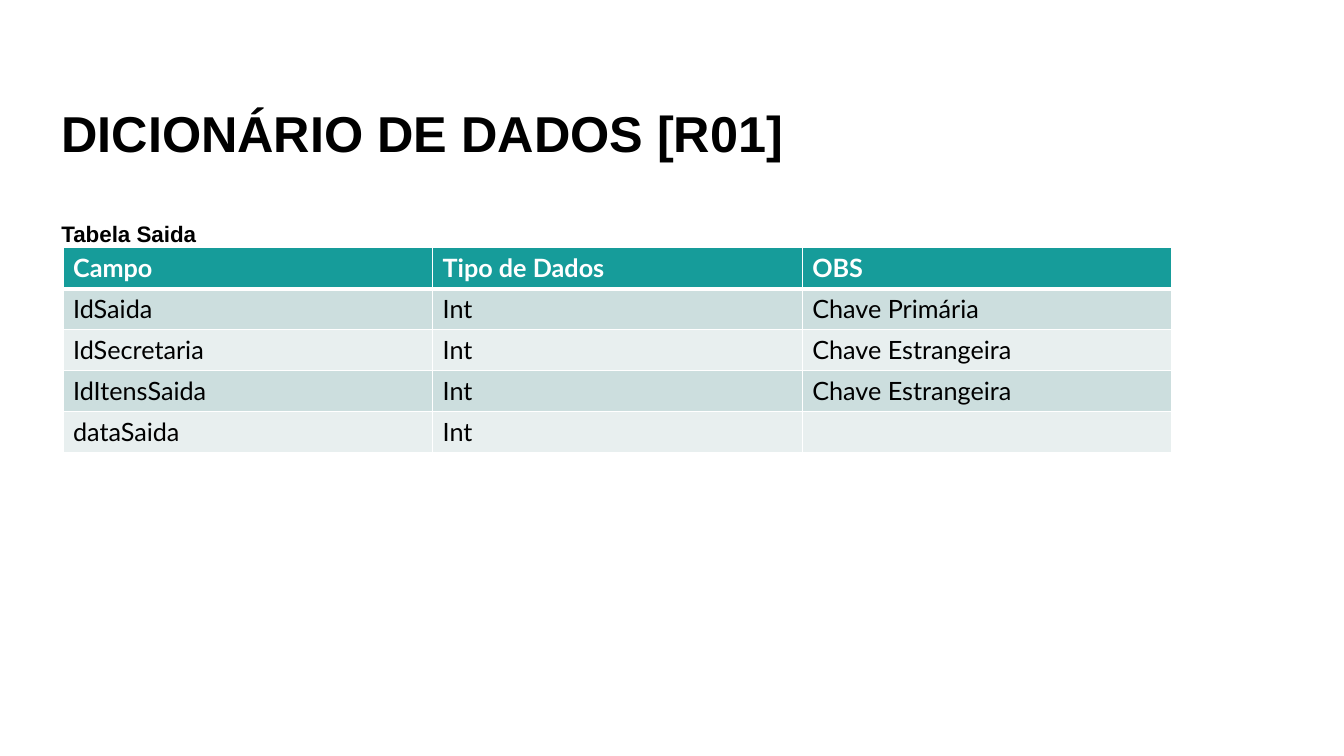
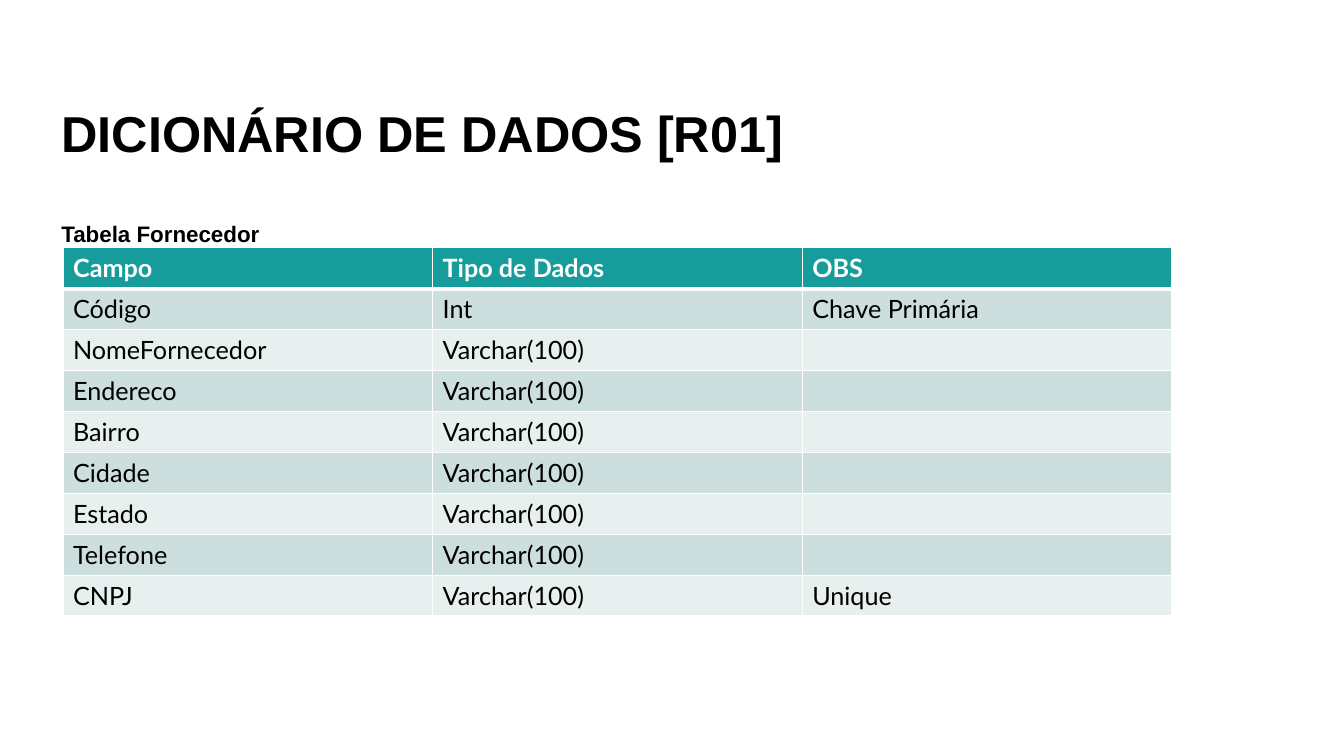
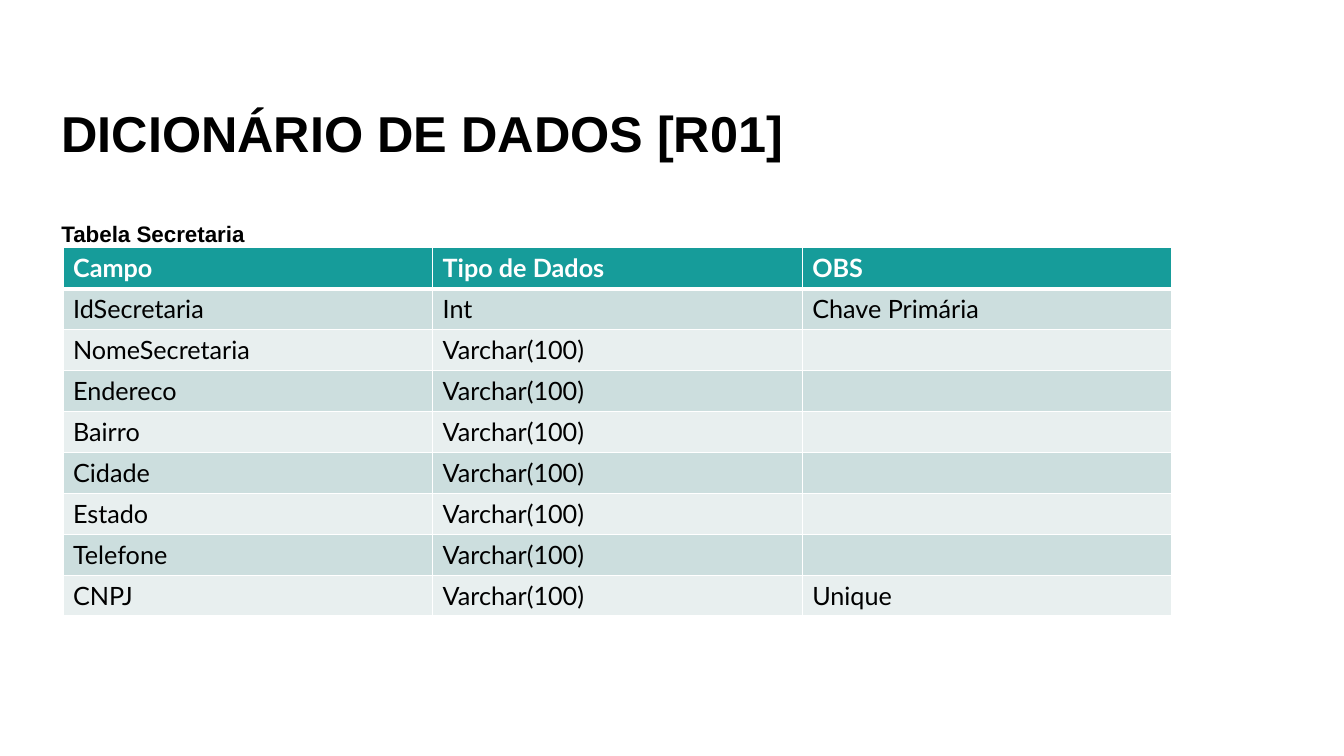
import pptx
import pptx.util
import pptx.dml.color
import pptx.enum.text
import lxml.etree

PX = 9525
TEAL, MIST, PALE = "169C9A", "CCDEDE", "E8EFEF"
BLACK, WHITE = "000000", "FFFFFF"
ROW_HEIGHT, COLUMN_WIDTH = 39, 352
HEADINGS = ("Campo", "Tipo de Dados", "OBS")


def color(hex_code):
    return pptx.dml.color.RGBColor.from_string(hex_code)


def add_run(paragraph, text, font, size, hex_code, bold):
    run = paragraph.add_run()
    run.text = text
    run.font.name = font
    run.font.size = pptx.util.Pt(size)
    run.font.color.rgb = color(hex_code)
    run.font.bold = bold


contact_fields = [
    (field, "Varchar(100)", "")
    for field in ("Endereco", "Bairro", "Cidade", "Estado", "Telefone")
] + [("CNPJ", "Varchar(100)", "Unique")]

entities = {
    "Saida": [
        ("IdSaida", "Int", "Chave Primária"),
        ("IdSecretaria", "Int", "Chave Estrangeira"),
        ("IdItensSaida", "Int", "Chave Estrangeira"),
        ("dataSaida", "Int", ""),
    ],
    "Fornecedor": [
        ("Código", "Int", "Chave Primária"),
        ("NomeFornecedor", "Varchar(100)", ""),
    ] + contact_fields,
    "Secretaria": [
        ("IdSecretaria", "Int", "Chave Primária"),
        ("NomeSecretaria", "Varchar(100)", ""),
    ] + contact_fields,
}

deck = pptx.Presentation()
deck.slide_width, deck.slide_height = 1280 * PX, 720 * PX

for entity, fields in entities.items():
    slide = deck.slides.add_slide(deck.slide_layouts[6])

    headlines = (
        ("DICIONÁRIO DE DADOS [R01]", 0, 36),
        (f"Tabela {entity}", 80, 16),
    )
    for headline, top, size in headlines:
        frame = slide.shapes.add_textbox(49 * PX, top * PX, 1104 * PX, 160 * PX).text_frame
        frame.word_wrap = True
        frame.vertical_anchor = pptx.enum.text.MSO_ANCHOR.BOTTOM
        paragraph = frame.paragraphs[0]
        paragraph.line_spacing = 0.9
        paragraph.space_before = pptx.util.Pt(25)
        add_run(paragraph, headline, "Arial", size, BLACK, True)

    rows = [HEADINGS] + fields
    dictionary = slide.shapes.add_table(
        len(rows), len(HEADINGS), 60 * PX, 236 * PX,
        len(HEADINGS) * COLUMN_WIDTH * PX, len(rows) * ROW_HEIGHT * PX,
    ).table

    for row_index, row in enumerate(rows):
        is_heading = row_index == 0
        fill = TEAL if is_heading else (PALE, MIST)[row_index % 2]
        borders = {
            "lnL": 1,
            "lnR": 1,
            "lnT": 3 if row_index == 1 else 1,
            "lnB": 3 if is_heading else 1,
        }
        for column_index, text in enumerate(row):
            cell = dictionary.cell(row_index, column_index)
            properties = cell._tc.get_or_add_tcPr()
            for side, points in borders.items():
                border = lxml.etree.SubElement(
                    properties, pptx.oxml.ns.qn(f"a:{side}"), w=str(pptx.util.Pt(points)))
                solid = lxml.etree.SubElement(border, pptx.oxml.ns.qn("a:solidFill"))
                lxml.etree.SubElement(solid, pptx.oxml.ns.qn("a:srgbClr"), val=WHITE)
            cell.fill.solid()
            cell.fill.fore_color.rgb = color(fill)
            if text:
                add_run(cell.text_frame.paragraphs[0], text, "Lato", 18,
                        WHITE if is_heading else BLACK, is_heading)

deck.save("out.pptx")
